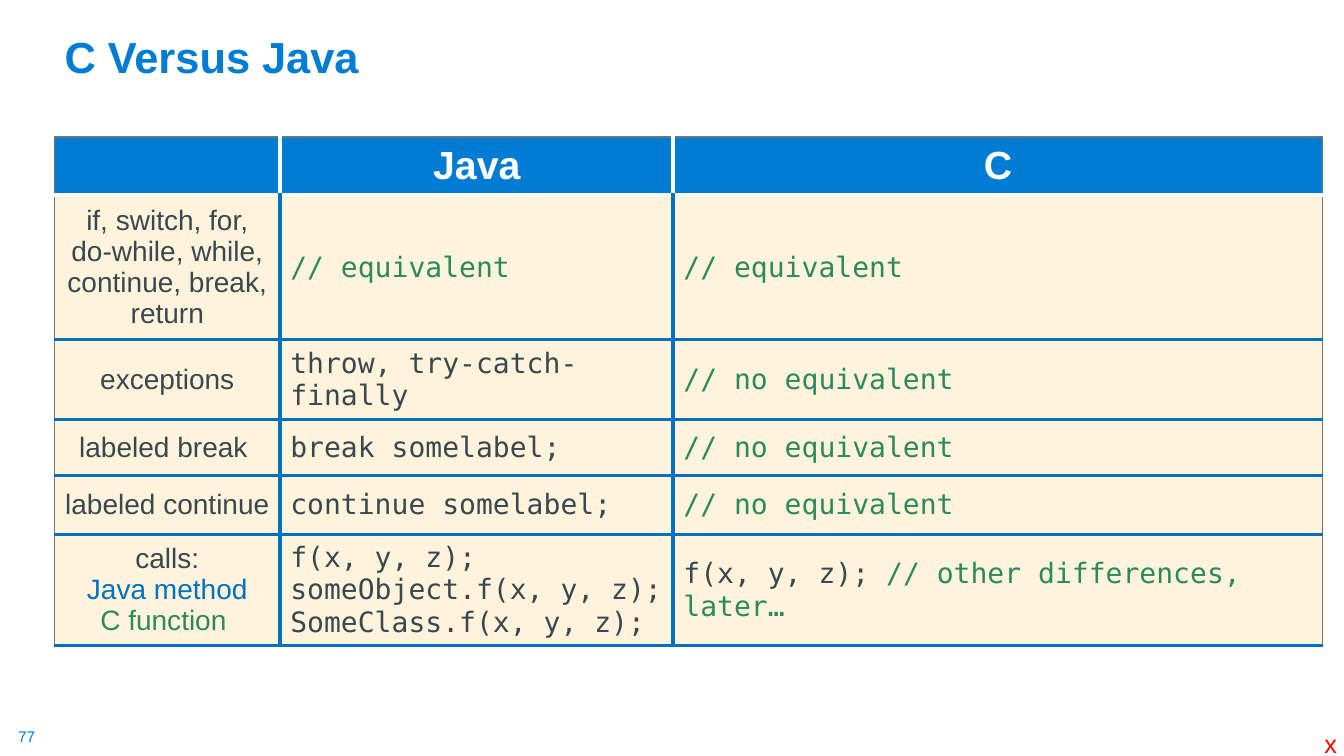
from lxml.etree import SubElement
from pptx import Presentation
from pptx.dml.color import RGBColor
from pptx.enum.text import MSO_ANCHOR as Anchor, MSO_AUTO_SIZE as AutoSize, PP_ALIGN as Align
from pptx.oxml.ns import qn
from pptx.util import Inches, Pt

COLORS = {
    "blue": "007CD5", "rule": "0070C0", "edge": "6B767D", "white": "FFFFFF",
    "cream": "FFF4DB", "ink": "384851", "green": "2C895B", "red": "FF0000",
}
SANS, MONO = "Arial", "DejaVu Sans Mono"

COLUMN_WIDTHS = [16.8, 29.25, 48.3]
ROW_HEIGHTS = [7.67, 19.05, 10.58, 7.41, 7.8, 14.68]
NO_EQUIVALENT = [[("// no equivalent", "green")]]
EQUIVALENT = [[("// equivalent", "green")]]
COMPARISON = [
    [[], [[("Java", "white")]], [[("C", "white")]]],
    [[[("if, switch, for, do-while, while, continue, break, return", "ink")]], EQUIVALENT, EQUIVALENT],
    [[[("exceptions", "ink")]], [[("throw, try-catch-finally", "ink")]], NO_EQUIVALENT],
    [[[("labeled break ", "ink")]], [[("break somelabel;", "ink")]], NO_EQUIVALENT],
    [[[("labeled continue ", "ink")]], [[("continue somelabel;", "ink")]], NO_EQUIVALENT],
    [
        [[("calls:", "ink")], [("Java method", "rule")], [("C function ", "green")]],
        [[("f(x, y, z);", "ink")], [("someObject.f(x, y, z);", "ink")], [("SomeClass.f(x, y, z);", "ink")]],
        [[("f(x, y, z); ", "ink"), ("// other differences, later…", "green")]],
    ],
]


class SlideBuilder:
    """Draws styled elements on a grid of 100 columns by 100 rows."""

    def __init__(self, presentation):
        self.column = presentation.slide_width / 100
        self.row = presentation.slide_height / 100
        self.slide = presentation.slides.add_slide(presentation.slide_layouts[5])

    def box(self, left, top, width, height):
        return (round(left * self.column), round(top * self.row),
                round(width * self.column), round(height * self.row))

    def add_text(self, frame, paragraphs, size, font=SANS, bold=False, align=Align.LEFT):
        for index, runs in enumerate(paragraphs):
            paragraph = frame.add_paragraph() if index else frame.paragraphs[0]
            paragraph.alignment = align
            for text, color in runs:
                run = paragraph.add_run()
                run.text = text
                run.font.size = Pt(size)
                run.font.name = font
                run.font.bold = bold
                run.font.color.rgb = RGBColor.from_string(COLORS[color])

    def title(self, text, place):
        shape = self.slide.shapes.title
        shape.left, shape.top, shape.width, shape.height = self.box(*place)
        frame = shape.text_frame
        frame.auto_size = AutoSize.NONE
        frame.vertical_anchor = Anchor.BOTTOM
        self.add_text(frame, [[(text, "blue")]], 31, bold=True)
        frame.paragraphs[0].line_spacing = 0.9

    def label(self, text, color, size, place, inset=None):
        frame = self.slide.shapes.add_textbox(*self.box(*place)).text_frame
        frame.word_wrap = False
        frame.auto_size = AutoSize.SHAPE_TO_FIT_TEXT
        if inset is not None:
            frame.margin_left = frame.margin_right = Inches(inset)
            frame.margin_top = frame.margin_bottom = Inches(inset)
        self.add_text(frame, [[(text, color)]], size)

    def borders(self, cell, sides):
        properties = cell._tc.get_or_add_tcPr()
        for side, color in sides.items():
            width = Pt(1 if color == "edge" else 3)
            line = SubElement(properties, qn(f"a:ln{side}"), w=str(width))
            fill = SubElement(line, qn("a:solidFill"))
            SubElement(fill, qn("a:srgbClr"), val=COLORS[color])

    def table(self, left, top, widths, heights, content):
        place = self.box(left, top, sum(widths), sum(heights))
        table = self.slide.shapes.add_table(len(heights), len(widths), *place).table
        for column, width in zip(table.columns, widths):
            column.width = round(width * self.column)
        for row, height in zip(table.rows, heights):
            row.height = round(height * self.row)
        for y, cells in enumerate(content):
            header = y == 0
            inner = "white" if header else "rule"
            for x, paragraphs in enumerate(cells):
                cell = table.cell(y, x)
                self.borders(cell, {
                    "L": "edge" if x == 0 else inner,
                    "R": "edge" if x == len(widths) - 1 else inner,
                    "T": "edge" if header else "white" if y == 1 else "rule",
                    "B": inner,
                })
                cell.fill.solid()
                cell.fill.fore_color.rgb = RGBColor.from_string(COLORS["blue" if header else "cream"])
                cell.vertical_anchor = Anchor.MIDDLE
                sans = header or x == 0
                self.add_text(cell.text_frame, paragraphs, 28 if header else 20,
                              SANS if sans else MONO, header, Align.CENTER if sans else Align.LEFT)


def main():
    presentation = Presentation()
    presentation.slide_width, presentation.slide_height = Inches(13.33), Inches(7.5)
    builder = SlideBuilder(presentation)
    builder.label("77", "blue", 11, (1.35, 96.13, 1.43, 2.53), inset=0)
    builder.table(4.05, 18.13, COLUMN_WIDTHS, ROW_HEIGHTS, COMPARISON)
    builder.title("C Versus Java", (4.05, 1.2, 86.25, 10.4))
    builder.label("x", "red", 18, (97.8, 95.73, 2.48, 5.33))
    presentation.save("out.pptx")


if __name__ == "__main__":
    main()
